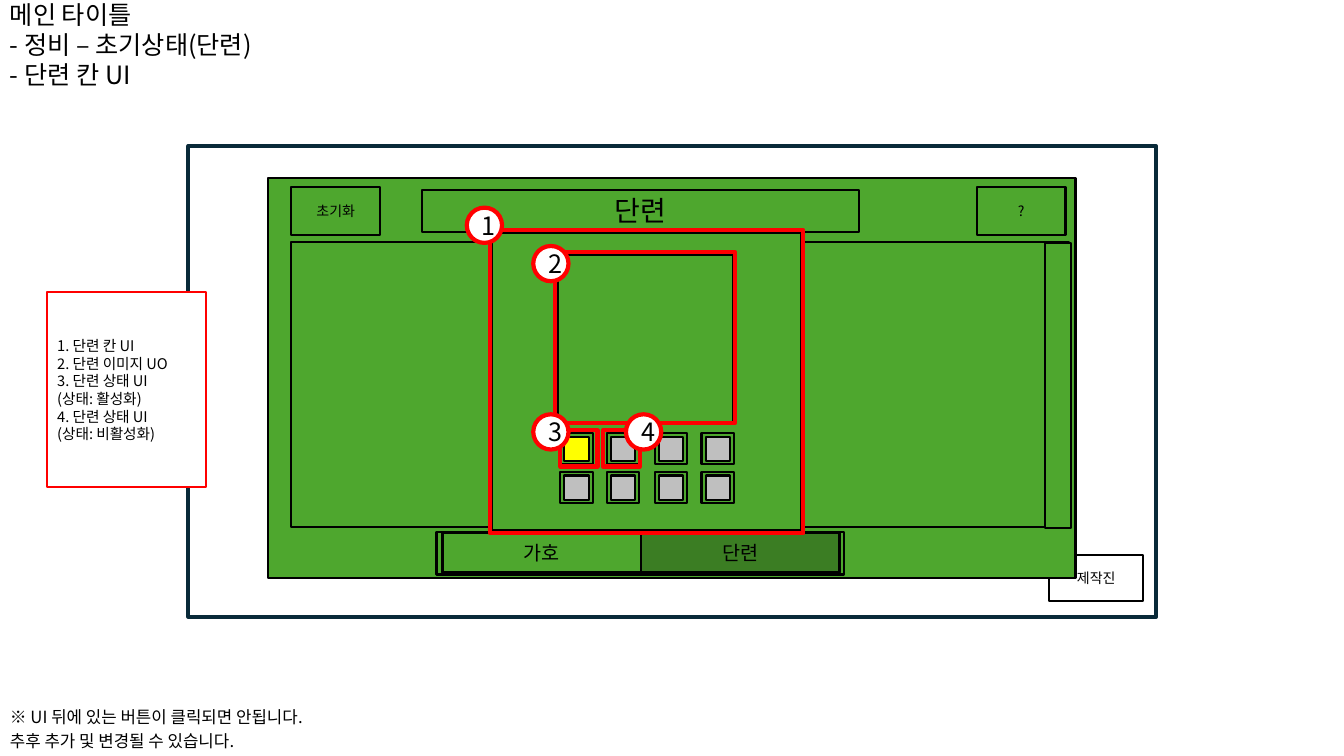
from copy import deepcopy

from pptx import Presentation
from pptx.dml.color import RGBColor
from pptx.enum.shapes import MSO_SHAPE
from pptx.enum.text import MSO_ANCHOR, PP_ALIGN
from pptx.oxml.ns import qn
from pptx.util import Pt

RECT, OVAL = MSO_SHAPE.RECTANGLE, MSO_SHAPE.OVAL
LEFT, CENTER = PP_ALIGN.LEFT, PP_ALIGN.CENTER
MIDDLE = MSO_ANCHOR.MIDDLE

FONT = "Noto Sans CJK KR"
BLACK = RGBColor(0x00, 0x00, 0x00)
WHITE = RGBColor(0xFF, 0xFF, 0xFF)
NAVY = RGBColor(0x09, 0x2A, 0x39)
GREEN = RGBColor(0x4E, 0xA7, 0x2E)
DARK_GREEN = RGBColor(0x3B, 0x7D, 0x23)
YELLOW = RGBColor(0xFF, 0xFF, 0x00)
GRAY = RGBColor(0xBF, 0xBF, 0xBF)
RED = RGBColor(0xFF, 0x00, 0x00)

deck = Presentation()
deck.slide_width, deck.slide_height = Pt(960), Pt(540)
page = deck.slides.add_slide(deck.slide_layouts[6])


def write(box, text, size=10, align=LEFT):
    """Fill a box with one paragraph; each newline is a line break."""
    frame = box.text_frame
    frame.word_wrap = True
    frame.vertical_anchor = MIDDLE
    para = frame.paragraphs[0]
    para.text = text
    para.alignment = align
    for span in para.runs:
        span.font.size = Pt(size)
        span.font.name = FONT
        span.font.color.rgb = BLACK
        properties = span.font._element
        east_asian = properties.makeelement(qn("a:ea"), {"typeface": FONT})
        properties.find(qn("a:latin")).addnext(east_asian)
    # Line breaks keep the size of the text around them
    for line_break in para._p.findall(qn("a:br")):
        line_break.append(deepcopy(properties))


def draw(left, top, width, height, fill=GREEN, line=BLACK, weight=1.5, kind=RECT):
    box = page.shapes.add_shape(kind, Pt(left), Pt(top), Pt(width), Pt(height))
    box.shadow.inherit = False
    if fill is None:
        box.fill.background()
    else:
        box.fill.solid()
        box.fill.fore_color.rgb = fill
    box.line.color.rgb = line
    box.line.width = Pt(weight)
    return box


# Page title and footnotes
for text, top, width, height, size in [
    ("메인 타이틀\n- 정비 – 초기상태(단련)\n- 단련 칸 UI", 0, 258.5, 63.4, 18),
    ("※ UI 뒤에 있는 버튼이 클릭되면 안됩니다.", 503.3, 306, 17.3, 12),
    ("추후 추가 및 변경될 수 있습니다.", 520.6, 306, 17.3, 12),
]:
    write(page.shapes.add_textbox(0, Pt(top), Pt(width), Pt(height)), text, size=size)

# Screen frame, credits button and window
draw(134.6, 104.4, 691.2, 336.2, fill=WHITE, line=NAVY, weight=3)
write(draw(749.5, 396.7, 67, 32.4, fill=WHITE), "제작진", align=CENTER)
draw(191.5, 127.4, 576.7, 285.8)

# List area and scroll bar
draw(208.1, 172.8, 555.8, 203.8)
draw(746.6, 173.5, 18.7, 203.8)

# Header bar
write(draw(301.7, 135.4, 311.8, 30.2), "단련", size=20, align=CENTER)
for left, text in [(208.1, "초기화"), (697.7, "?")]:
    write(draw(left, 133.9, 63.4, 33.8), text, align=CENTER)

# Tabs
draw(311.8, 380.2, 290.9, 30.2)
for left, text, fill in [(316.1, "가호", GREEN), (457.9, "단련", DARK_GREEN)]:
    write(draw(left, 380.9, 141.8, 28.1, fill=fill), text, size=14, align=CENTER)

# Training card with its image
draw(351.4, 166.3, 221, 212.4)
draw(398.9, 182.2, 124.6, 120.2)

# State slots: the first one is active
for row, top in enumerate([309.4, 337.1]):
    for column, left in enumerate([400.3, 433.4, 468, 501.1]):
        active = row == 0 and column == 0
        draw(left, top, 23, 22.3)
        draw(left + 2.9, top + 2.6, 17.3, 17.3, fill=YELLOW if active else GRAY)

# Red highlight frames
for frame_place in [
    (349.9, 164.2, 223.9, 216.7),
    (396.7, 180, 128.2, 122.4),
    (400.3, 307.4, 26.6, 25.9),
    (430.6, 307.4, 26.6, 25.9),
]:
    draw(*frame_place, fill=None, line=RED, weight=3)

# Numbered markers
for number, (left, top) in enumerate(
    [(333.4, 148.3), (380.9, 175.7), (380.9, 295.9), (447.1, 295.9)], start=1
):
    marker = draw(left, top, 25.2, 25.2, fill=WHITE, line=RED, weight=3, kind=OVAL)
    write(marker, str(number), size=18, align=CENTER)

# Legend
write(
    draw(33.8, 208.8, 113.4, 139.3, fill=WHITE, line=RED),
    "1. 단련 칸 UI\n2. 단련 이미지 UO\n3. 단련 상태 UI\n(상태: 활성화)\n"
    "4. 단련 상태 UI\n(상태: 비활성화)",
    size=10.5,
)

deck.save("out.pptx")
